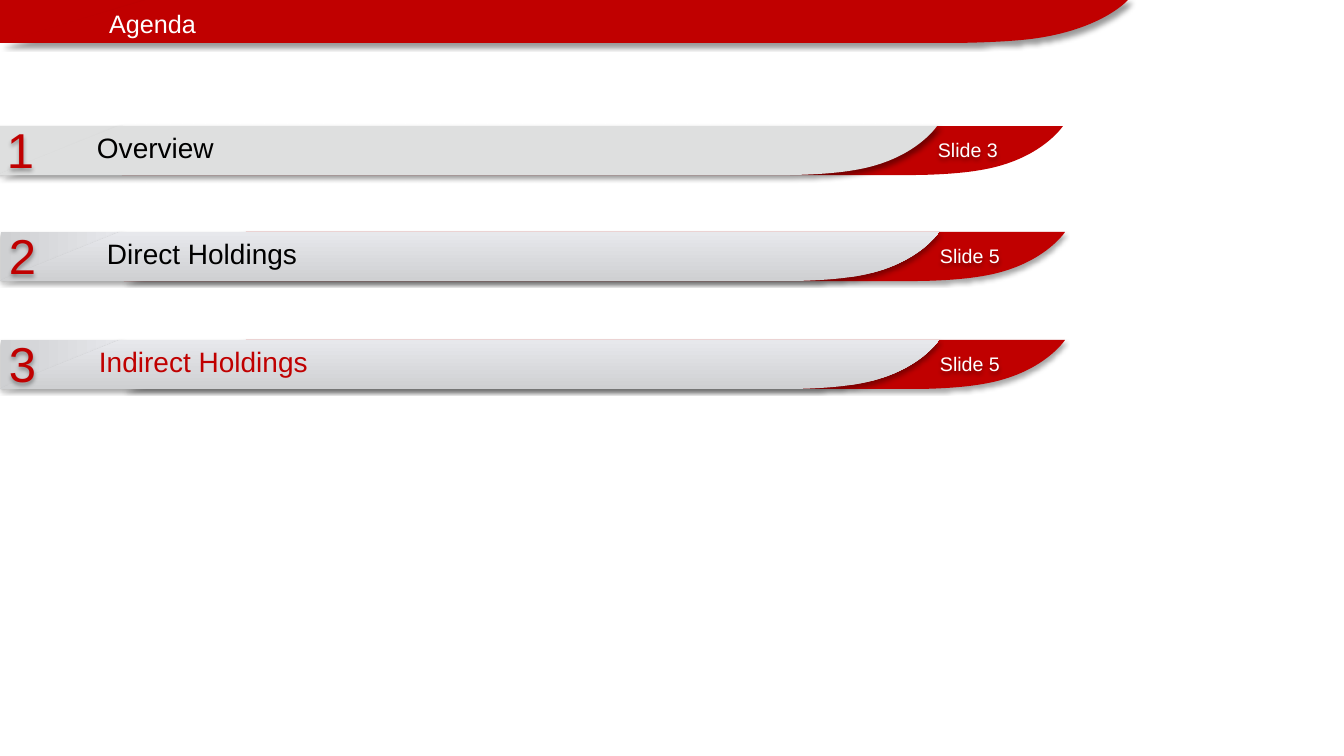
import pptx
import pptx.util
import pptx.dml.color
import pptx.enum.shapes
import pptx.enum.text
import pptx.oxml.ns
import lxml.etree

PX = 12192000 / 1344
INK = {"red": "C00000", "white": "FFFFFF", "black": "000000",
       "gray": "DEDFDF", "dark": "CFD0D2", "light": "E7E8EC"}
FADE = ("dark", "light")
SIDE = {"alpha": 40, "blur": 4, "dist": 3, "dir": 45}
DOWN = {"alpha": 35, "blur": 3.1, "dist": 1.8, "dir": 90}
HEAD = {"cut": 146, "wide": 1128, "high": 43,
        "curves": [[(1128, 0), (1102, 30), (1031, 39)],
                   [(997, 43), (950, 43), (950, 43)]]}
BAR = {"cut": 122, "wide": 941, "high": 49,
       "curves": [[(941, 0), (919, 34), (859, 44)],
                  [(831, 49), (792, 49), (792, 49)]]}
ROWS = [
    {"left": -4, "top": 126, "label": "Overview", "page": "Slide 3",
     "ink": "black", "pad": 101, "fill": "gray", "glow": SIDE, "tab": None},
    {"left": -2, "top": 232, "label": "Direct Holdings", "page": "Slide 5",
     "ink": "black", "pad": 109, "fill": FADE, "glow": DOWN, "tab": DOWN},
    {"left": -2, "top": 340, "label": "Indirect Holdings", "page": "Slide 5",
     "ink": "red", "pad": 101, "fill": FADE, "glow": DOWN, "tab": DOWN},
]


def emu(px):
    return round(px * PX)


def tint(name):
    return pptx.dml.color.RGBColor.from_string(INK[name])


def apply(item, values):
    for name, value in values.items():
        setattr(item, name, value)


def shade(shape, glow):
    shape.shadow.inherit = False
    if not glow:
        return
    qn = pptx.oxml.ns.qn
    holder = shape.element.find(".//" + qn("a:effectLst"))
    cast = lxml.etree.SubElement(holder, qn("a:outerShdw"), {
        "blurRad": str(round(glow["blur"] * 12700)),
        "dist": str(round(glow["dist"] * 12700)),
        "dir": str(glow["dir"] * 60000), "algn": "tl", "rotWithShape": "0"})
    color = lxml.etree.SubElement(cast, qn("a:srgbClr"), val=INK["black"])
    lxml.etree.SubElement(color, qn("a:alpha"), val=str(glow["alpha"] * 1000))


def paint(shape, fill, glow):
    if isinstance(fill, tuple):
        shape.fill.gradient()
        shape.fill.gradient_angle = 90
        for stop, name in zip(shape.fill.gradient_stops, fill):
            stop.color.rgb = tint(name)
    else:
        shape.fill.solid()
        shape.fill.fore_color.rgb = tint(fill)
    shape.line.fill.background()
    shade(shape, glow)


def write(shape, words, size, ink, align="LEFT", pad=0, foot=0):
    frame = shape.text_frame
    apply(frame, {"word_wrap": True, "auto_size": pptx.enum.text.MSO_AUTO_SIZE.NONE,
                  "vertical_anchor": pptx.enum.text.MSO_ANCHOR.MIDDLE,
                  "margin_left": emu(pad), "margin_right": 0,
                  "margin_top": 0, "margin_bottom": emu(foot)})
    frame.text = words
    line = frame.paragraphs[0]
    line.alignment = getattr(pptx.enum.text.PP_ALIGN, align)
    apply(line.font, {"name": "Arial", "size": pptx.util.Pt(size), "bold": False})
    line.font.color.rgb = tint(ink)


def bend(shape, curves):
    qn = pptx.oxml.ns.qn
    lines = shape.element.findall(".//" + qn("a:lnTo"))
    for line, curve in zip(lines[1:], curves):
        arc = lxml.etree.Element(qn("a:cubicBezTo"))
        for x, y in curve:
            lxml.etree.SubElement(arc, qn("a:pt"), x=str(emu(x)), y=str(emu(y)))
        line.getparent().replace(line, arc)


def ribbon(slide, left, top, form, fill, glow):
    ends = [curve[-1] for curve in form["curves"]]
    dots = [(form["wide"], 0), *ends, (0, form["high"])]
    pen = slide.shapes.build_freeform(emu(left + form["cut"]), emu(top))
    pen.add_line_segments([(emu(left + x), emu(top + y)) for x, y in dots])
    shape = pen.convert_to_shape()
    bend(shape, form["curves"])
    paint(shape, fill, glow)
    return shape


def block(slide, kind, left, top, wide, high, fill, glow):
    kind = getattr(pptx.enum.shapes.MSO_SHAPE, kind)
    shape = slide.shapes.add_shape(kind, *map(emu, (left, top, wide, high)))
    paint(shape, fill, glow)
    return shape


def note(slide, left, top, wide, words, size, ink, glow, pad=0):
    box = slide.shapes.add_textbox(*map(emu, (left, top, wide, 48)))
    write(box, words, size, ink, "CENTER", pad)
    shade(box, glow)


def header(slide, words):
    plate = block(slide, "PARALLELOGRAM", 0, 0, 149, 43, "red", None)
    plate.adjustments[0] = 0
    ribbon(slide, 0, 0, HEAD, "red", SIDE)
    title = slide.shapes.title
    apply(title, {"left": 0, "top": 0, "width": emu(1128), "height": emu(47)})
    write(title, words, 18, "white", pad=109)
    title.element.getparent().append(title.element)


def entry(slide, count, row):
    left, top = row["left"], row["top"]
    wedge = block(slide, "RIGHT_TRIANGLE", left + 41, top - 38, 48, 124,
                  row["fill"], DOWN)
    wedge.rotation = 90
    ribbon(slide, left + 126, top, BAR, "red", row["tab"])
    note(slide, left + 897, top, 150, row["page"], 14, "white", DOWN)
    bar = ribbon(slide, left, top, BAR, row["fill"], row["glow"])
    write(bar, row["label"], 20, row["ink"], pad=row["pad"], foot=6)
    note(slide, left + 1, top - 1, 40, str(count), 35, "red", DOWN, 7)


def main():
    deck = pptx.Presentation()
    apply(deck, {"slide_width": emu(1344), "slide_height": emu(756)})
    slide = deck.slides.add_slide(deck.slide_layouts[5])
    header(slide, "Agenda")
    for count, row in enumerate(ROWS, 1):
        entry(slide, count, row)
    deck.save("out.pptx")


if __name__ == "__main__":
    main()
